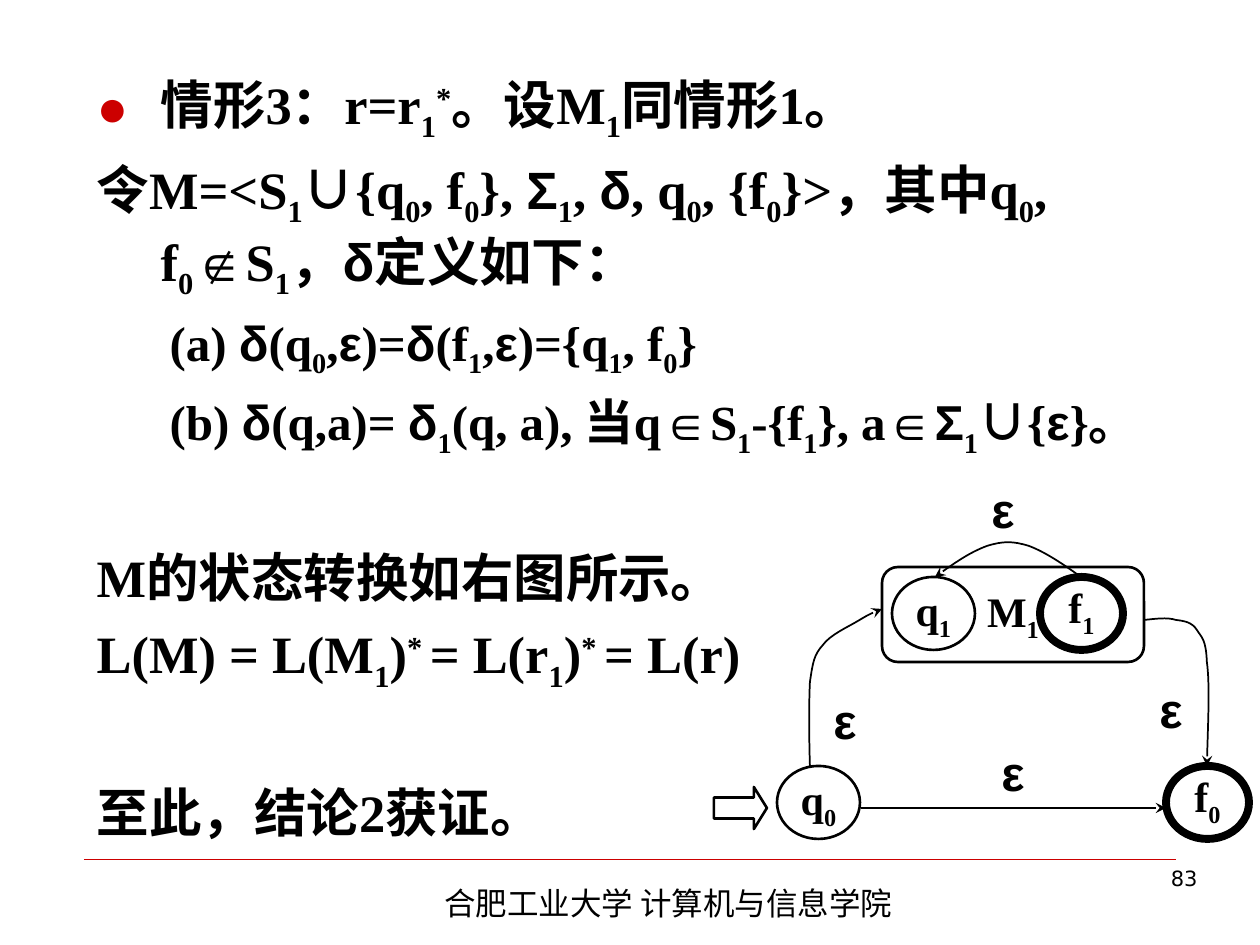
from lxml import etree
from pptx import Presentation, util as u
from pptx.dml.color import RGBColor
from pptx.enum import shapes, text
from pptx.oxml import ns

PX = 914400 // 126
THEME = {
    "ink": RGBColor(0, 0, 0), "accent": RGBColor(0xCC, 0, 0),
    "serif": "Times New Roman", "sans": "Arial",
    "cjk": "Noto Sans CJK SC", "number": "DejaVu Sans",
    "body": 30, "case": 28, "state": 24, "footer": 18, "page": 12,
    "thin": 1, "medium": 1.5, "thick": 4.5, "hairline": 0.25,
}
SYMBOL_FONTS = {**dict.fromkeys("δεΣ∈∉", THEME["sans"]), "∪": THEME["cjk"]}
BASELINES = {"_": -25000, "^": 30000}

# kind, space before in points, text; _ lowers and ^ raises the next character
BODY_BOX = (84, 66, 1134, 785)
BODY = [
    ("bullet", 0, "情形3：r=r_1^*。设M_1同情形1。"),
    ("plain", 7.5, "令M=<S_1∪{q_0, f_0}, Σ_1, δ, q_0, {f_0}>，其中q_0, f_0∉S_1，δ定义如下："),
    ("case", 7, "(a) δ(q_0,ε)=δ(f_1,ε)={q_1, f_0}"),
    ("case", 7, "(b) δ(q,a)= δ_1(q, a), 当q∈S_1-{f_1}, a∈Σ_1∪{ε}。"),
    ("plain", 49.5, "M的状态转换如右图所示。"),
    ("plain", 7.5, "L(M) = L(M_1)^*^ = L(r_1)^*^ = L(r)"),
    ("plain", 49.5, "至此，结论2获证。"),
]
INDENTS = {"bullet": (64, -64), "plain": (64, -64), "case": (145, -72)}

FOOTER = ("合肥工业大学 计算机与信息学院", (432, 878, 595, 50))
PAGE = ("83", (937, 859, 273, 66))
RULE = ((84, 859), (1176, 859))

MACHINE = ("M_1", (882, 567, 262, 95))
STATE_SIZE = (83, 73)
STATES = [  # label, left, top, final
    ("q_1", 892, 577, False), ("f_1", 1040, 577, True),
    ("q_0", 777, 766, False), ("f_0", 1166, 766, True),
]
START_ARROW = (714, 787, 53, 42)
EPSILON_SIZE = (116, 73)
EPSILONS = [(1113, 672), (787, 683), (945, 472), (955, 735)]
CURVES = [  # start, then two control points and an end for each segment
    [(1081, 577), (1063, 564), (1045, 552), (1029, 546), (1013, 541), (1003, 541),
     (987, 546), (971, 552), (953, 564), (935, 577)],
    [(810, 766), (809, 735), (809, 701), (810, 682), (813, 662), (814, 655),
     (823, 645), (830, 635), (848, 627), (858, 621), (868, 615), (874, 612), (882, 609)],
    [(1144, 620), (1155, 619), (1167, 617), (1176, 620), (1184, 621), (1192, 622),
     (1197, 630), (1202, 638), (1206, 639), (1207, 662), (1210, 684), (1208, 726), (1207, 766)],
]
STRAIGHT = ((861, 808), (1166, 808))


def emu(values):
    return [value * PX for value in values]


def child(parent, tag, **attributes):
    return etree.SubElement(parent, ns.qn(tag), attributes)


def split_runs(marked):
    """Split marked text into [text, symbol font or None, baseline] pieces."""
    pieces, baseline = [], 0
    for character in marked:
        if character in BASELINES:
            baseline = BASELINES[character]
            continue
        style = [SYMBOL_FONTS.get(character), baseline]
        if pieces and pieces[-1][1:] == style:
            pieces[-1][0] += character
        else:
            pieces.append([character, *style])
        baseline = 0
    return pieces


def write(paragraph, marked, size, font=THEME["serif"], bold=True):
    for content, symbol_font, baseline in split_runs(marked):
        run = paragraph.add_run()
        run.text = content
        run.font.size, run.font.bold = u.Pt(size), bold
        run.font.name = symbol_font or font
        run.font.color.rgb = THEME["ink"]
        properties = run.font._element
        child(properties, "a:ea", typeface=symbol_font or THEME["cjk"])
        if baseline:
            properties.set("baseline", str(baseline))


def label(shape, marked, size, raised=False):
    """Centre an unwrapped label in a shape."""
    frame = shape.text_frame
    frame.word_wrap = False
    frame.vertical_anchor = text.MSO_ANCHOR.MIDDLE
    if raised:
        frame.margin_top = 0
    frame.paragraphs[0].alignment = text.PP_ALIGN.CENTER
    write(frame.paragraphs[0], marked, size)


def add_outline(slide, kind, box, width="medium"):
    shape = slide.shapes.add_shape(kind, *emu(box))
    shape.shadow.inherit = False
    shape.fill.background()
    shape.line.color.rgb = THEME["ink"]
    shape.line.width = u.Pt(THEME[width])
    return shape


def add_text(slide, content, box, size, font, alignment):
    frame = slide.shapes.add_textbox(*emu(box)).text_frame
    frame.word_wrap = True
    frame.paragraphs[0].alignment = alignment
    write(frame.paragraphs[0], content, size, font, bold=False)


def add_arrowhead(shape):
    child(shape.line._get_or_add_ln(), "a:tailEnd", type="stealth")


def add_line(slide, start, end, colour, width):
    line = slide.shapes.add_connector(
        shapes.MSO_CONNECTOR.STRAIGHT, *emu(start), *emu(end))
    line.line.color.rgb = THEME[colour]
    line.line.width = u.Pt(THEME[width])
    child(line._element.spPr, "a:effectLst")
    return line


def add_curve(slide, points):
    """Draw a freeform whose points are turned into cubic segments."""
    builder = slide.shapes.build_freeform(*points[0], scale=PX)
    builder.add_line_segments(points[1:], close=False)
    curve = builder.convert_to_shape()
    curve.shadow.inherit = False
    curve.fill.background()
    curve.line.color.rgb = THEME["ink"]
    curve.line.width = u.Pt(THEME["thin"])
    add_arrowhead(curve)
    outline = curve._element.find(".//" + ns.qn("a:path"))
    corners = outline.findall(ns.qn("a:lnTo"))
    for first in range(0, len(corners), 3):
        segment = child(outline, "a:cubicBezTo")
        for corner in corners[first:first + 3]:
            segment.append(corner[0])
            outline.remove(corner)


def fill_body(body):
    body.left, body.top, body.width, body.height = emu(BODY_BOX)
    frame = body.text_frame
    frame.word_wrap, frame.auto_size = True, text.MSO_AUTO_SIZE.NONE
    frame.vertical_anchor = text.MSO_ANCHOR.TOP
    for index, (kind, space, content) in enumerate(BODY):
        paragraph = frame.add_paragraph() if index else frame.paragraphs[0]
        paragraph.level = int(kind == "case")
        paragraph.space_before = u.Pt(space)
        properties = paragraph._p.get_or_add_pPr()
        margin, indent = emu(INDENTS[kind])
        properties.set("marL", str(margin))
        properties.set("indent", str(indent))
        if kind == "bullet":
            colour = child(properties, "a:buClr")
            child(colour, "a:srgbClr", val=str(THEME["accent"]))
            child(properties, "a:buChar", char="●")
        else:
            child(properties, "a:buNone")
        write(paragraph, content, THEME["case" if kind == "case" else "body"])


def draw_automaton(slide):
    add_outline(slide, shapes.MSO_SHAPE.RIGHT_ARROW, START_ARROW).adjustments[1] = 0.31
    name, box = MACHINE
    machine = add_outline(slide, shapes.MSO_SHAPE.ROUNDED_RECTANGLE, box)
    label(machine, name, THEME["state"])
    for name, left, top, final in STATES:
        state = add_outline(slide, shapes.MSO_SHAPE.OVAL, (left, top, *STATE_SIZE),
                            "thick" if final else "medium")
        label(state, name, THEME["state"], raised=final)
    for points in CURVES:
        add_curve(slide, points)
    add_arrowhead(add_line(slide, *STRAIGHT, "ink", "thin"))
    for corner in EPSILONS:
        label(slide.shapes.add_textbox(*emu((*corner, *EPSILON_SIZE))), "ε", THEME["case"])


def main():
    presentation = Presentation()
    presentation.slide_width, presentation.slide_height = emu((1260, 945))
    slide = presentation.slides.add_slide(presentation.slide_layouts[1])
    title = slide.shapes.title._element
    title.getparent().remove(title)
    add_line(slide, *RULE, "accent", "hairline")
    add_text(slide, *FOOTER, THEME["footer"], THEME["cjk"], text.PP_ALIGN.LEFT)
    add_text(slide, *PAGE, THEME["page"], THEME["number"], text.PP_ALIGN.RIGHT)
    fill_body(slide.placeholders[1])
    draw_automaton(slide)
    presentation.save("out.pptx")


if __name__ == "__main__":
    main()
